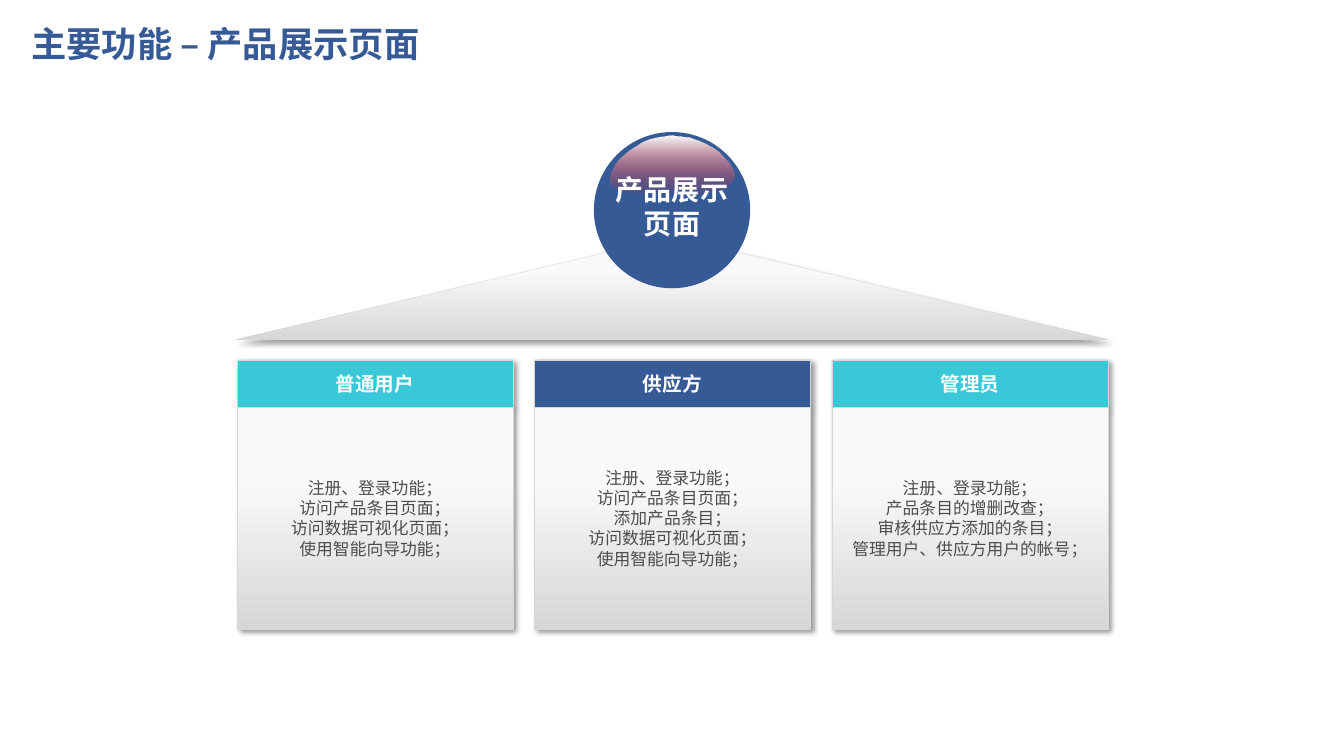
from dataclasses import dataclass

import pptx
import pptx.dml.color
import pptx.enum.shapes
import pptx.enum.text
import pptx.oxml
import pptx.oxml.ns
import pptx.util
from pptx.util import Inches

NAVY, TEAL, WHITE, GREY = "365A96", "3AC8D9", "FFFFFF", "4D4D4D"
PALE, SILVER = "F9F9F9", "D7D7D7"
FONT = "Arial"
SHAPES = pptx.enum.shapes.MSO_SHAPE
ALIGN = pptx.enum.text.PP_ALIGN
CARD_LEFT, CARD_PITCH, CARD_WIDTH = 2.35, 2.95, 2.74
HEADER_TOP, HEADER_HEIGHT, BODY_HEIGHT = 3.57, 0.47, 2.2

GLOSS_POINTS = [
    (726, 168), (727, 171), (728, 174), (727, 177), (725, 180), (723, 182), (720, 185),
    (716, 187), (712, 188), (706, 190), (701, 191), (695, 192), (688, 193), (682, 193),
    (679, 194), (650, 194), (643, 193), (638, 193), (632, 192), (627, 192), (623, 191),
    (619, 190), (615, 188), (612, 187), (609, 185), (607, 183), (606, 180), (606, 175),
    (607, 171), (610, 165), (614, 159), (619, 154), (625, 149), (631, 145), (637, 141),
    (644, 138), (652, 136), (659, 135), (667, 134), (676, 135), (684, 136), (692, 139),
    (699, 142), (706, 146), (712, 150), (717, 156), (722, 161),
]


@dataclass
class Card:
    """A user role with its header colour and functions."""
    role: str
    colour: str
    functions: list[str]


CARDS = [
    Card("普通用户", TEAL, ["注册、登录功能；", "访问产品条目页面；",
                        "访问数据可视化页面；", "使用智能向导功能；"]),
    Card("供应方", NAVY, ["注册、登录功能；", "访问产品条目页面；", "添加产品条目；",
                       "访问数据可视化页面；", "使用智能向导功能；"]),
    Card("管理员", TEAL, ["注册、登录功能；", "产品条目的增删改查；",
                       "审核供应方添加的条目；", "管理用户、供应方用户的帐号；"]),
]


def rgb(colour: str) -> pptx.dml.color.RGBColor:
    return pptx.dml.color.RGBColor.from_string(colour)


def fill_solid(shape, colour: str) -> None:
    shape.fill.solid()
    shape.fill.fore_color.rgb = rgb(colour)


def fill_downward(shape, top: str, bottom: str, start: float = 0) -> None:
    shape.fill.gradient()
    shape.fill.gradient_angle = 270
    for stop, colour, position in zip(shape.fill.gradient_stops, (top, bottom), (start, 1)):
        stop.color.rgb = rgb(colour)
        stop.position = position


def outline_and_shadow(shape) -> None:
    shape.line.color.rgb = rgb(SILVER)
    shape.line.width = pptx.util.Pt(0.25)
    shape.shadow.inherit = False
    effects = shape._element.spPr.find(pptx.oxml.ns.qn("a:effectLst"))
    effects.append(pptx.oxml.parse_xml(
        f'<a:outerShdw {pptx.oxml.ns.nsdecls("a")} blurRad="50800" dist="38100" dir="2700000" '
        'algn="tl" rotWithShape="0"><a:srgbClr val="000000"><a:alpha val="40000"/>'
        '</a:srgbClr></a:outerShdw>'))


def write_lines(shape, lines: list[str], size: float, colour: str,
                bold: bool = False, alignment=ALIGN.CENTER) -> None:
    frame = shape.text_frame
    frame.word_wrap = True
    frame.vertical_anchor = pptx.enum.text.MSO_ANCHOR.MIDDLE
    for index, line in enumerate(lines):
        paragraph = frame.add_paragraph() if index else frame.paragraphs[0]
        paragraph.alignment = alignment
        run = paragraph.add_run()
        run.text = line
        run.font.name = FONT
        run.font.size = pptx.util.Pt(size)
        run.font.bold = bold
        run.font.color.rgb = rgb(colour)


def add_panel(slide, kind, left: float, top: float, width: float, height: float):
    shape = slide.shapes.add_shape(kind, Inches(left), Inches(top), Inches(width), Inches(height))
    outline_and_shadow(shape)
    return shape


def add_card(slide, card: Card, left: float) -> None:
    header = add_panel(slide, SHAPES.RECTANGLE, left, HEADER_TOP, CARD_WIDTH, HEADER_HEIGHT)
    fill_solid(header, card.colour)
    write_lines(header, [card.role], 14, WHITE, bold=True)
    body = add_panel(slide, SHAPES.RECTANGLE, left, HEADER_TOP + HEADER_HEIGHT,
                     CARD_WIDTH, BODY_HEIGHT)
    fill_downward(body, PALE, SILVER, 0.33)
    write_lines(body, card.functions, 12, GREY)


def add_ball(slide) -> None:
    ball = slide.shapes.add_group_shape()
    disc = ball.shapes.add_shape(SHAPES.OVAL, Inches(5.89), Inches(1.31), Inches(1.55), Inches(1.55))
    fill_solid(disc, NAVY)
    builder = ball.shapes.build_freeform(*GLOSS_POINTS[0], scale=Inches(0.01))
    builder.add_line_segments(GLOSS_POINTS[1:], close=True)
    gloss = builder.convert_to_shape()
    fill_downward(gloss, WHITE, "FF0000")
    last_colour = gloss._element.spPr.findall(".//" + pptx.oxml.ns.qn("a:srgbClr"))[-1]
    last_colour.append(pptx.oxml.parse_xml(f'<a:alpha {pptx.oxml.ns.nsdecls("a")} val="0"/>'))
    for shape in (disc, gloss):
        shape.line.fill.background()
        shape.shadow.inherit = False
    label = slide.shapes.add_textbox(Inches(5.89), Inches(1.66), Inches(1.55), Inches(0.77))
    write_lines(label, ["产品展示页面"], 20, WHITE, bold=True)


def add_title(slide) -> None:
    title = slide.shapes.title
    title.left, title.top = Inches(0.21), Inches(0.22)
    title.width, title.height = Inches(11.5), Inches(0.48)
    write_lines(title, ["主要功能 – 产品展示页面"], 25.2, NAVY, True, ALIGN.LEFT)
    title.text_frame.auto_size = pptx.enum.text.MSO_AUTO_SIZE.NONE
    title.text_frame.paragraphs[0].line_spacing = 0.9


def main() -> None:
    """Build the product display slide and save it."""
    presentation = pptx.Presentation()
    presentation.slide_width, presentation.slide_height = Inches(13.33), Inches(7.5)
    slide = presentation.slides.add_slide(presentation.slide_layouts[5])
    add_title(slide)
    roof = add_panel(slide, SHAPES.ISOSCELES_TRIANGLE, 2.34, 2.35, 8.65, 1.02)
    fill_downward(roof, PALE, SILVER, 0.33)
    for index, card in enumerate(CARDS):
        add_card(slide, card, CARD_LEFT + index * CARD_PITCH)
    add_ball(slide)
    presentation.save("out.pptx")


if __name__ == "__main__":
    main()
